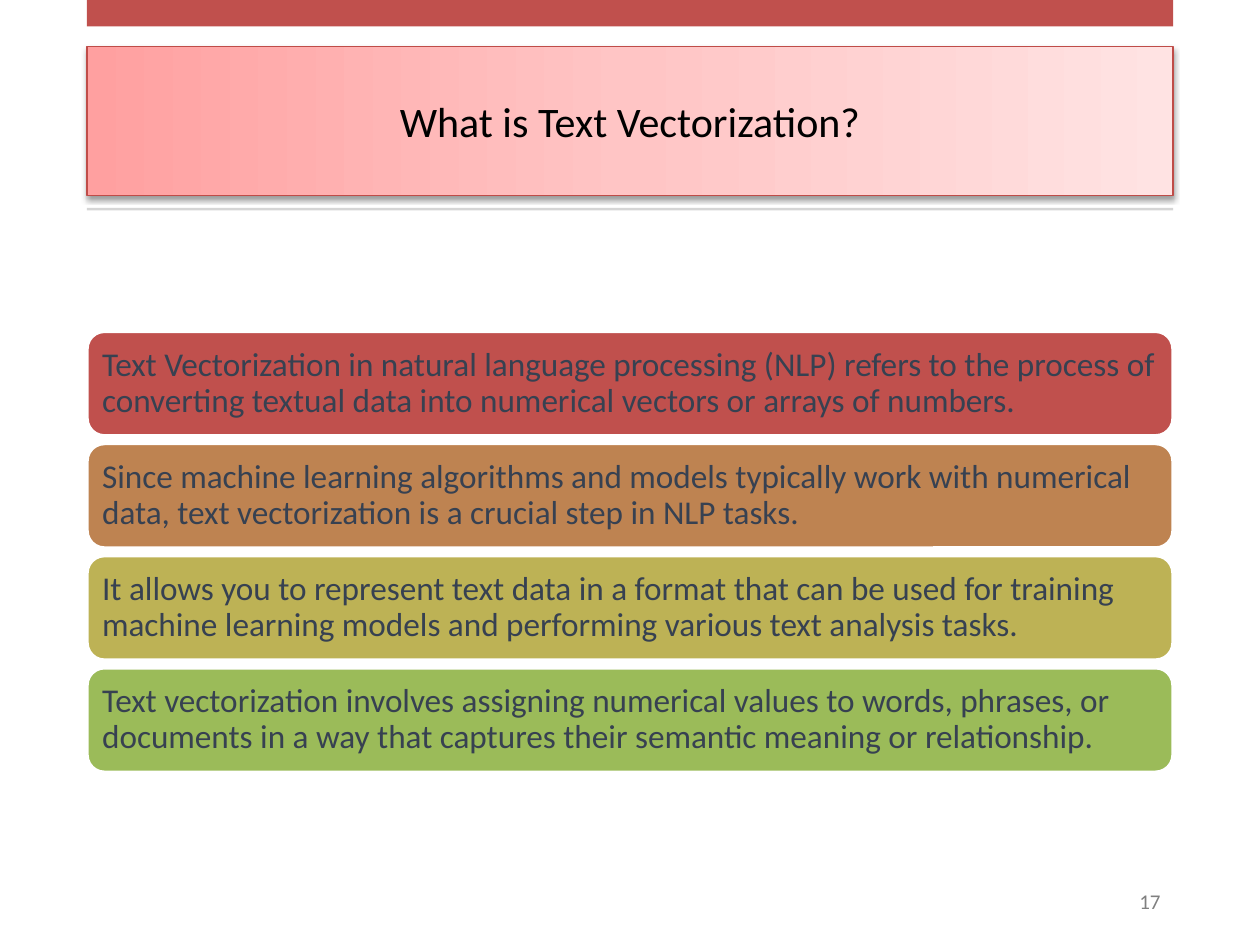
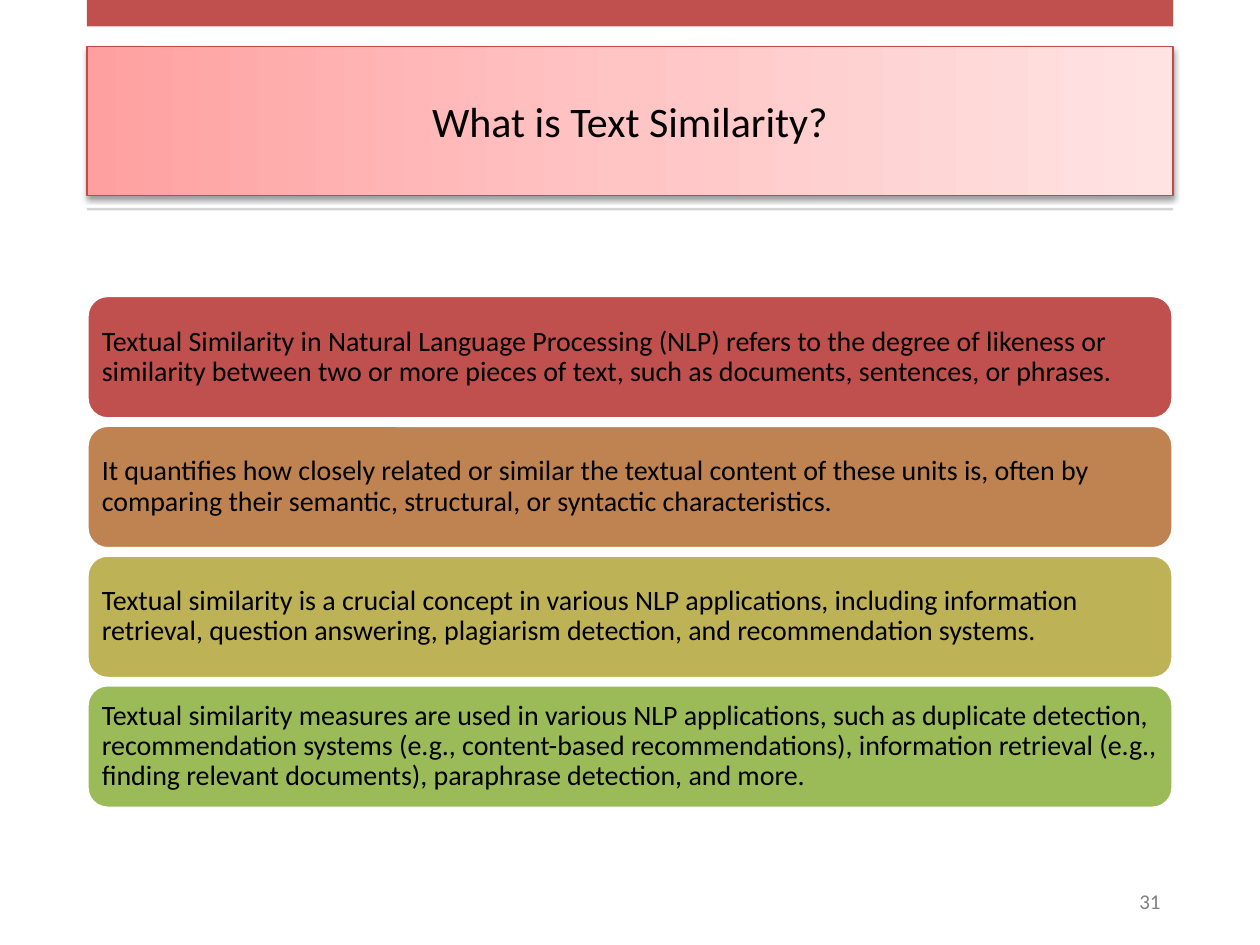
from copy import deepcopy

from pptx import Presentation
from pptx.dml.color import RGBColor
from pptx.enum.shapes import MSO_SHAPE
from pptx.enum.text import MSO_ANCHOR, MSO_AUTO_SIZE, PP_ALIGN
from pptx.oxml import parse_xml
from pptx.oxml.ns import nsdecls, qn
from pptx.util import Inches, Pt

RECT, ROUNDED = MSO_SHAPE.RECTANGLE, MSO_SHAPE.ROUNDED_RECTANGLE
LEFT, CENTER, RIGHT = PP_ALIGN.LEFT, PP_ALIGN.CENTER, PP_ALIGN.RIGHT

# Content: each slide has a title, a page number, a card style and its cards
SLIDES = [
    {
        "title": "What is Text Vectorization?", "page": "17",
        "size": 19, "color": "374151", "height": 0.83, "gap": 0.06, "inset": 0.08,
        "cards": [
            "Text Vectorization in natural language processing (NLP) refers to the process of "
            "converting textual data into numerical vectors or arrays of numbers.",
            "Since machine learning algorithms and models typically work with numerical data, "
            "text vectorization is a crucial step in NLP tasks.",
            "It allows you to represent text data in a format that can be used for training "
            "machine learning models and performing various text analysis tasks.",
            "Text vectorization involves assigning numerical values to words, phrases, or "
            "documents in a way that captures their semantic meaning or relationship.",
        ],
    },
    {
        "title": "What is Text Similarity?", "page": "31",
        "size": 16, "color": "000000", "height": 0.98, "gap": 0.05, "inset": 0.07,
        "cards": [
            "Textual Similarity in Natural Language Processing (NLP) refers to the degree of "
            "likeness or similarity between two or more pieces of text, such as documents, "
            "sentences, or phrases.",
            "It quantifies how closely related or similar the textual content of these units is, "
            "often by comparing their semantic, structural, or syntactic characteristics.",
            "Textual similarity is a crucial concept in various NLP applications, including "
            "information retrieval, question answering, plagiarism detection, and "
            "recommendation systems.",
            "Textual similarity measures are used in various NLP applications, such as duplicate "
            "detection, recommendation systems (e.g., content-based recommendations), "
            "information retrieval (e.g., finding relevant documents), paraphrase detection, "
            "and more.",
        ],
    },
]

# Shared look
FONT = "Calibri"
RED, RULE_GREY, PAGE_GREY = "C0504D", "D5D5D5", "808080"
CARD_COLORS = [RED, "BE8351", "BDB255", "9BBB59"]
TITLE_STOPS = [(0, "FFA0A0"), (0.5, "FFC5C5"), (1, "FFE3E3")]
TITLE_SHADOW = (
    f'<a:effectLst {nsdecls("a")}><a:outerShdw blurRad="40000" dist="20000" dir="5400000" '
    'rotWithShape="0"><a:srgbClr val="000000"><a:alpha val="38000"/></a:srgbClr>'
    "</a:outerShdw></a:effectLst>")

# Shared column, and the middle line of the card stack
WIDTH, HEIGHT = 10, 7.5
MARGIN = 0.69
COLUMN = WIDTH - 2 * MARGIN
STACK_MIDDLE = 4.38


def rgb(value):
    return RGBColor.from_string(value)


def box(left, top, width, height):
    return [Inches(v) for v in (left, top, width, height)]


def write(tf, text, size, color, align):
    tf.word_wrap = True
    tf.auto_size = MSO_AUTO_SIZE.NONE
    tf.vertical_anchor = MSO_ANCHOR.MIDDLE
    p = tf.paragraphs[0]
    p.alignment = align
    r = p.add_run()
    r.text = text
    r.font.name, r.font.size = FONT, Pt(size)
    r.font.color.rgb = rgb(color)
    return p


def add_block(s, kind, top, height, color):
    """Add a plain filled shape as wide as the column."""
    sp = s.shapes.add_shape(kind, *box(MARGIN, top, COLUMN, height))
    sp.shadow.inherit = False
    sp.fill.solid()
    sp.fill.fore_color.rgb = rgb(color)
    sp.line.fill.background()
    return sp


def format_title(s, text):
    sp = s.shapes.title
    sp.left, sp.top, sp.width, sp.height = box(MARGIN, 0.37, COLUMN, 1.18)
    write(sp.text_frame, text, 24, "000000", CENTER)
    # Three-stop gradient running left to right
    sp.fill.gradient()
    sp.fill.gradient_angle = 0
    spPr = sp.element.spPr
    stops = spPr.find(".//" + qn("a:gsLst"))
    stops.append(deepcopy(stops[-1]))
    for stop, (position, color) in zip(sp.fill.gradient_stops, TITLE_STOPS):
        stop.position = position
        stop.color.rgb = rgb(color)
    sp.line.color.rgb = rgb("BF4C48")
    sp.line.width = Pt(0.75)
    spPr.append(parse_xml(TITLE_SHADOW))


def add_frame(s, title, page):
    """Title, top band, rule and page number."""
    format_title(s, title)
    add_block(s, RECT, 0, 0.21, RED)
    add_block(s, RECT, 1.65, 0.02, RULE_GREY)
    number = s.shapes.add_textbox(*box(WIDTH - MARGIN - 2.16, 6.95, 2.16, 0.4))
    write(number.text_frame, page, 12, PAGE_GREY, RIGHT)


def add_cards(s, data):
    """Stack the cards evenly around the middle line."""
    cards, height, gap = data["cards"], data["height"], data["gap"]
    pitch = height + gap
    first = STACK_MIDDLE - (len(cards) * pitch - gap) / 2
    for i, (text, color) in enumerate(zip(cards, CARD_COLORS)):
        sp = add_block(s, ROUNDED, first + i * pitch, height, color)
        sp.line.color.rgb = rgb("FFFFFF")
        sp.line.width = Pt(2)
        tf = sp.text_frame
        tf.margin_left = tf.margin_right = Inches(data["inset"])
        tf.margin_top = tf.margin_bottom = Inches(data["inset"])
        p = write(tf, text, data["size"], data["color"], LEFT)
        p.line_spacing = 0.9


def main():
    prs = Presentation()
    prs.slide_width, prs.slide_height = Inches(WIDTH), Inches(HEIGHT)
    title_only = prs.slide_layouts[5]
    for data in SLIDES:
        s = prs.slides.add_slide(title_only)
        add_frame(s, data["title"], data["page"])
        add_cards(s, data)
    prs.save("out.pptx")


if __name__ == "__main__":
    main()
